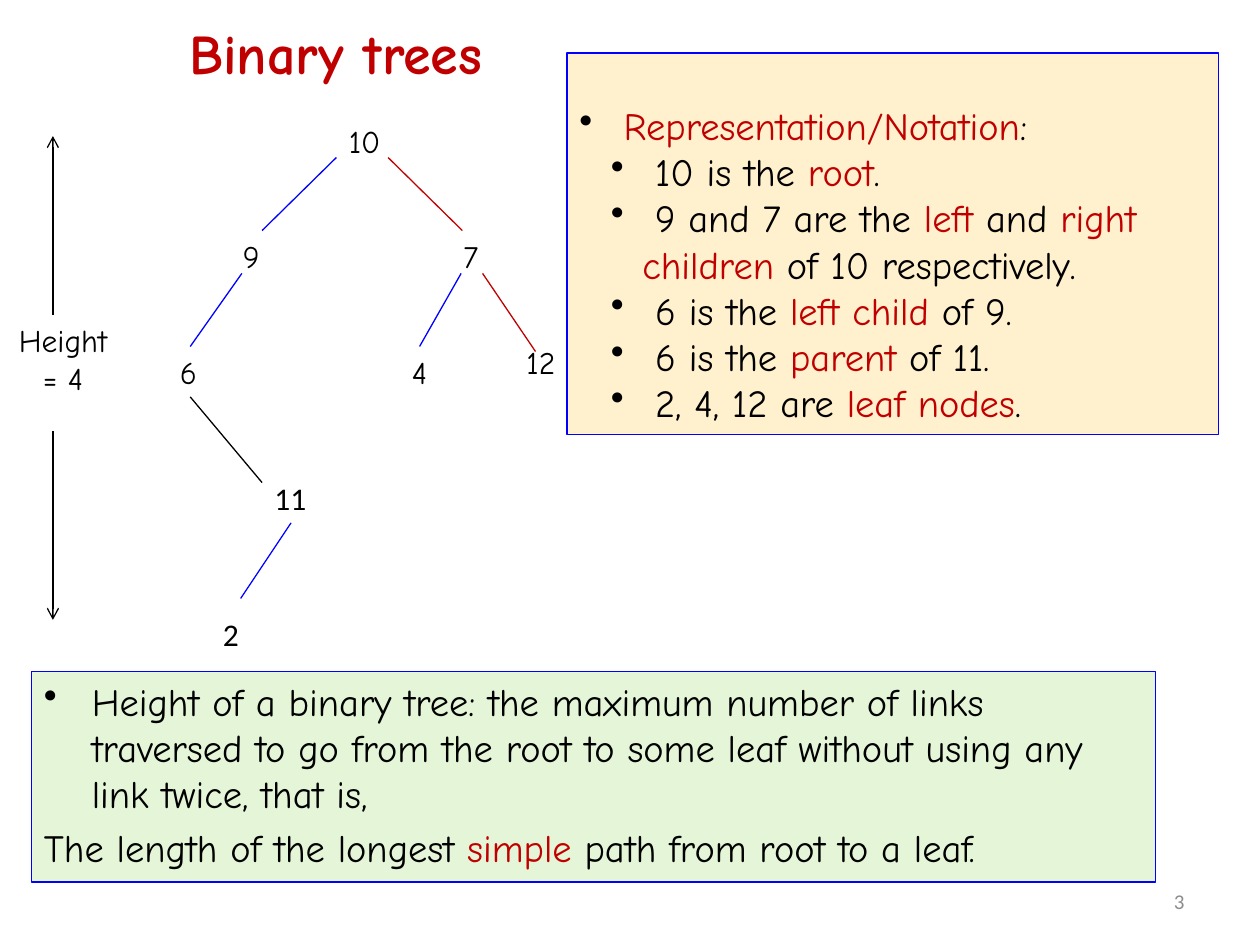
"""Builds a slide that explains the terms used for binary trees."""
from lxml import etree
from pptx import Presentation
from pptx import util as u
from pptx.dml.color import RGBColor
from pptx.enum import shapes, text
from pptx.oxml.ns import qn

COLORS = {"black": "000000", "blue": "0000FF", "red": "C00000",
          "gray": "8C8C8C", "cream": "FFF1CE", "green": "E5F6D8"}
HAND, PLAIN = "Comic Neue", "Calibri"
LEFT, CENTER, RIGHT = (text.PP_ALIGN.LEFT, text.PP_ALIGN.CENTER,
                       text.PP_ALIGN.RIGHT)


def rgb(name):
    """Return the named colour."""
    return RGBColor.from_string(COLORS[name])


class SlideBuilder:
    """Holds the style and the current slide."""

    def __init__(self, slide):
        """Start building on a slide."""
        self.slide = slide

    def fill_para(self, para, parts, size, font=HAND, color="black",
                  bold=False, align=LEFT):
        """Fill a paragraph; a part is plain text or a (text, colour) pair."""
        para.alignment = align
        para.font.size, para.font.name, para.font.bold = u.Pt(size), font, bold
        para.font.color.rgb = rgb(color)
        for part in parts:
            words, tint = part if isinstance(part, tuple) else (part, color)
            span = para.add_run()
            span.text = words
            if tint != color:
                span.font.color.rgb = rgb(tint)

    def label(self, at, words, size=18, wrap=True,
              anchor=text.MSO_ANCHOR.TOP, **style):
        """Add a text box with one paragraph."""
        frame = self.slide.shapes.add_textbox(*map(u.Inches, at)).text_frame
        frame.word_wrap = wrap
        frame.vertical_anchor = anchor
        self.fill_para(frame.paragraphs[0], [words], size, **style)

    def panel(self, at, fill, items, top=0.05, before=0):
        """Add a bordered box; an item is (margin, indent, bullet, parts)."""
        box = self.slide.shapes.add_shape(shapes.MSO_SHAPE.RECTANGLE,
                                          *map(u.Inches, at))
        box.shadow.inherit = False
        box.fill.solid()
        box.fill.fore_color.rgb = rgb(fill)
        box.line.color.rgb = rgb("blue")
        box.line.width = u.Pt(0.75)
        frame = box.text_frame
        frame.word_wrap = True
        frame.vertical_anchor = text.MSO_ANCHOR.TOP
        frame.margin_top = u.Inches(top)
        for index, (margin, indent, bullet, parts) in enumerate(items):
            para = frame.add_paragraph() if index else frame.paragraphs[0]
            self.fill_para(para, parts, 22)
            para.space_before = u.Pt(before)
            self.indent(para, margin, indent, bullet)

    def indent(self, para, margin, indent, bullet):
        """Set the margin, first-line indent and bullet of a paragraph."""
        props = para._p.get_or_add_pPr()
        props.set("marL", str(u.Inches(margin)))
        props.set("indent", str(u.Inches(indent)))
        mark = etree.Element(qn("a:buChar" if bullet else "a:buNone"))
        if bullet:
            mark.set("char", "•")
        props.find(qn("a:defRPr")).addprevious(mark)

    def line(self, start, end, color="black", arrow=False):
        """Add a straight line, with an arrowhead at its end if asked."""
        link = self.slide.shapes.add_connector(
            shapes.MSO_CONNECTOR.STRAIGHT, *map(u.Inches, (*start, *end)))
        link.line.color.rgb = rgb(color)
        link.line.width = u.Pt(0.75)
        if arrow:
            outline = link._element.spPr.find(qn("a:ln"))
            etree.SubElement(outline, qn("a:tailEnd"), type="arrow")
        etree.SubElement(link._element.spPr, qn("a:effectLst"))


NODES = [  # key, left, top, width, font
    ("10", 2.67, 0.92, 0.47, HAND), ("9", 1.83, 1.83, 0.36, HAND),
    ("7", 3.58, 1.83, 0.36, HAND), ("6", 1.33, 2.75, 0.36, HAND),
    ("12", 4.08, 2.67, 0.47, HAND), ("4", 3.17, 2.75, 0.36, HAND),
    ("11", 2.08, 3.75, 0.46, PLAIN), ("2", 1.67, 4.83, 0.33, PLAIN),
]
LINKS = [  # parent end, child end, colour
    ((2.67, 1.25), (2.08, 1.83), "blue"), ((3.08, 1.25), (3.67, 1.83), "red"),
    ((1.92, 2.17), (1.51, 2.75), "blue"), ((3.83, 2.17), (4.25, 2.79), "red"),
    ((3.66, 2.17), (3.33, 2.75), "blue"),
    ((1.51, 3.15), (2.08, 3.83), "black"),
    ((2.31, 4.15), (1.91, 4.75), "blue"),
]
FACTS = [
    [" 10 is the ", ("root", "red"), "."],
    [" 9 and 7 are the ", ("left", "red"), " and ", ("right children", "red"),
     " of 10 respectively."],
    [" 6 is the ", ("left child ", "red"), "of 9."],
    [" 6 is the ", ("parent", "red"), " of 11."],
    [" 2, 4, 12 are ", ("leaf nodes", "red"), "."],
]
HEIGHT = [
    (0.38, -0.38, True,
     ["Height of a binary tree: the maximum number of links traversed to go "
      "from the root to some leaf without using any link twice, that is,"]),
    (0.38, -0.38, False,
     ["The length of the longest ", ("simple", "red"),
      " path from root to a leaf."]),
]


def main():
    """Build and save the deck."""
    deck = Presentation()
    deck.slide_width, deck.slide_height = u.Inches(10), u.Inches(7.5)
    page = SlideBuilder(deck.slides.add_slide(deck.slide_layouts[6]))
    middle = text.MSO_ANCHOR.MIDDLE

    page.panel((0.25, 5.33, 8.92, 1.67), "green", HEIGHT, before=4.4)
    page.label((7.17, 6.95, 2.33, 0.4), "3", 12, anchor=middle, font=PLAIN,
               color="gray", align=RIGHT)
    page.label((0.5, 0, 4.33, 0.83), "Binary trees", 32, anchor=middle,
               color="red", bold=True, align=CENTER)

    for key, left, top, width, font in NODES:
        page.label((left, top, width, 0.4), key, wrap=False, font=font)
    for start, end, color in LINKS:
        page.line(start, end, color)

    page.label((0, 2.5, 1, 0.71), "Height = 4", align=CENTER)
    for start, end in ((2.5, 1.08), (3.42, 4.92)):
        page.line((0.42, start), (0.42, end), arrow=True)

    heading = (0.25, -0.25, True, [" ", ("Representation/Notation", "red"), ":"])
    facts = [(0.5, -0.25, True, parts) for parts in FACTS]
    page.panel((4.5, 0.42, 5.17, 3.03), "cream", [heading, *facts], top=0.39)
    deck.save("out.pptx")


main()
